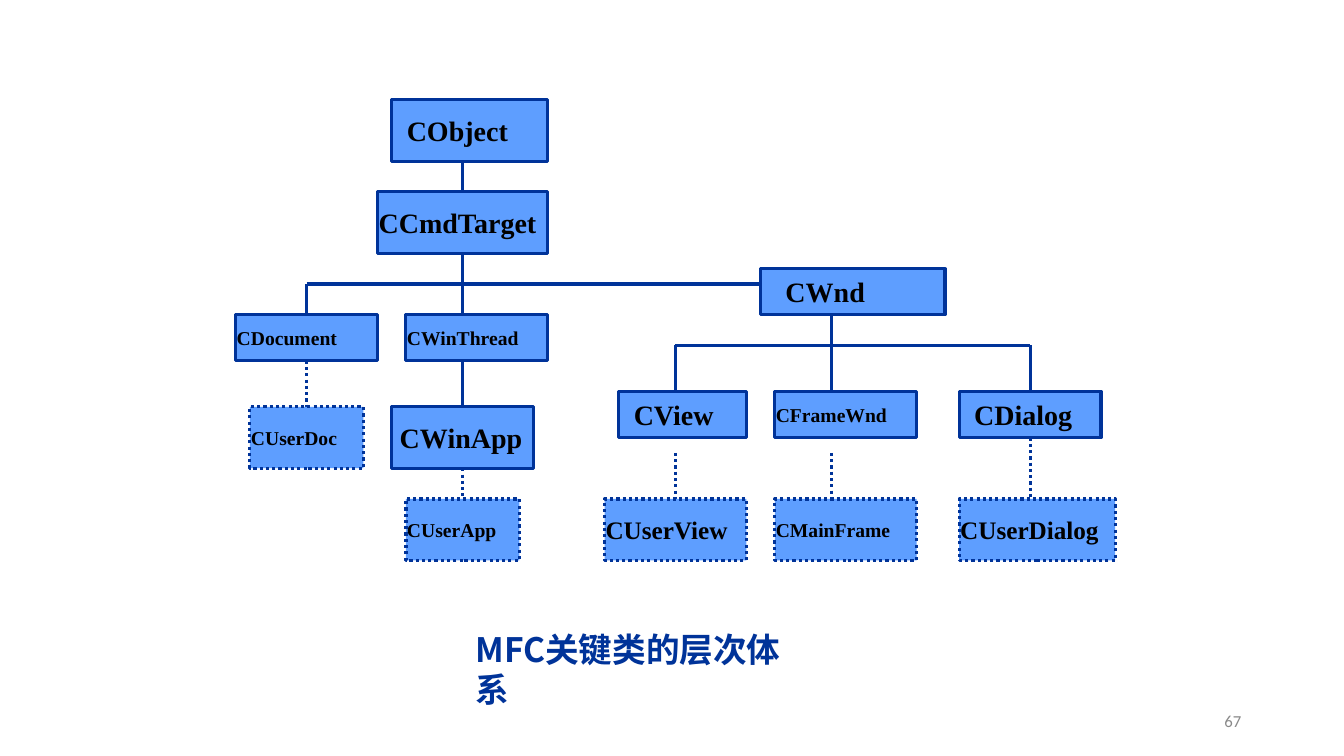
import pptx
import pptx.util
import pptx.dml.color
import pptx.enum.dml
import pptx.enum.shapes
import pptx.enum.text
import lxml.etree

Inches = pptx.util.Inches
Pt = pptx.util.Pt
NAVY = pptx.dml.color.RGBColor(0x00, 0x33, 0x99)
SKY = pptx.dml.color.RGBColor(0x5E, 0x9E, 0xFF)
BLACK = pptx.dml.color.RGBColor(0x00, 0x00, 0x00)
GRAY = pptx.dml.color.RGBColor(0x89, 0x89, 0x89)
DRAWING = "http://schemas.openxmlformats.org/drawingml/2006/main"

LEFT, TOP = 2.34, 0.99
COLUMN = 8.73 / 62
ROW = 4.57 / 30

presentation = pptx.Presentation()
presentation.slide_width = Inches(13.34)
presentation.slide_height = Inches(7.5)
slide = presentation.slides.add_slide(presentation.slide_layouts[6])


def style_line(line, dotted):
    line.color.rgb = NAVY
    line.width = Pt(2.25)
    if dotted:
        line.dash_style = pptx.enum.dml.MSO_LINE.ROUND_DOT


def add_text(paragraph, text, size, font_name, color, bold):
    run = paragraph.add_run()
    run.text = text
    run.font.size = Pt(size)
    run.font.name = font_name
    run.font.color.rgb = color
    run.font.bold = bold
    east_asian = lxml.etree.SubElement(run.font._element, f"{{{DRAWING}}}ea")
    east_asian.set("typeface", font_name)


# from column, from row, to column, to row, dotted
branches = [
    (16, 4, 16, 6, False),
    (5, 12, 5, 14, False),
    (5, 12, 37, 12, False),
    (16, 10, 16, 14, False),
    (16, 17, 16, 20, False),
    (5, 17, 5, 20, True),
    (16, 24, 16, 26, True),
    (56, 16, 56, 19, False),
    (42, 14, 42, 19, False),
    (31, 16, 56, 16, False),
    (31, 16, 31, 19, False),
    (31, 23, 31, 26, True),
    (42, 23, 42, 26, True),
    (56, 22, 56, 26, True),
]
for start_column, start_row, end_column, end_row, dotted in branches:
    connector = slide.shapes.add_connector(
        pptx.enum.shapes.MSO_CONNECTOR.STRAIGHT,
        Inches(LEFT + start_column * COLUMN), Inches(TOP + start_row * ROW),
        Inches(LEFT + end_column * COLUMN), Inches(TOP + end_row * ROW))
    style_line(connector.line, dotted)
    lxml.etree.SubElement(connector._element.spPr, f"{{{DRAWING}}}effectLst")

# name, column, row, columns wide, rows high, text size, indent in points, dotted
classes = [
    ("CObject", 11, 0, 11, 4, 20, 10, False),
    ("CCmdTarget", 10, 6, 12, 4, 20, 0, False),
    ("CWinApp", 11, 20, 10, 4, 20, 5, False),
    ("CUserDoc", 1, 20, 8, 4, 14, 0, True),
    ("CDocument", 0, 14, 10, 3, 14, 0, False),
    ("CWinThread", 12, 14, 10, 3, 14, 0, False),
    ("CWnd", 37, 11, 13, 3, 20, 17, False),
    ("CUserApp", 12, 26, 8, 4, 14, 0, True),
    ("CView", 27, 19, 9, 3, 20, 10, False),
    ("CFrameWnd", 38, 19, 10, 3, 14, 0, False),
    ("CDialog", 51, 19, 10, 3, 20, 10, False),
    ("CUserView", 26, 26, 10, 4, 18, 0, True),
    ("CUserDialog", 51, 26, 11, 4, 18, 0, True),
    ("CMainFrame", 38, 26, 10, 4, 14, 0, True),
]
for name, column, row, width, height, size, indent, dotted in classes:
    shape = slide.shapes.add_shape(
        pptx.enum.shapes.MSO_SHAPE.RECTANGLE,
        Inches(LEFT + column * COLUMN), Inches(TOP + row * ROW),
        Inches(width * COLUMN), Inches(height * ROW))
    shape.shadow.inherit = False
    shape.fill.solid()
    shape.fill.fore_color.rgb = SKY
    style_line(shape.line, dotted)
    frame = shape.text_frame
    frame.word_wrap = True
    frame.vertical_anchor = pptx.enum.text.MSO_ANCHOR.MIDDLE
    frame.margin_left = frame.margin_right = Inches(0.01)
    frame.margin_top = frame.margin_bottom = Inches(0.01)
    paragraph = frame.paragraphs[0]
    paragraph.alignment = pptx.enum.text.PP_ALIGN.JUSTIFY
    paragraph._p.get_or_add_pPr().set("marL", str(Pt(indent)))
    add_text(paragraph, name, size, "Times New Roman", BLACK, True)

title = slide.shapes.add_textbox(Inches(4.62), Inches(6.19), Inches(3.55), Inches(0.5))
title.text_frame.word_wrap = True
add_text(title.text_frame.paragraphs[0], "MFC关键类的层次体系", 24, "Noto Sans CJK SC", NAVY, True)

page_number = slide.shapes.add_textbox(Inches(9.42), Inches(6.95), Inches(3), Inches(0.4))
page_number.text_frame.word_wrap = True
page_number.text_frame.vertical_anchor = pptx.enum.text.MSO_ANCHOR.MIDDLE
paragraph = page_number.text_frame.paragraphs[0]
paragraph.alignment = pptx.enum.text.PP_ALIGN.RIGHT
add_text(paragraph, "67", 12, "Calibri", GRAY, False)

presentation.save("out.pptx")
